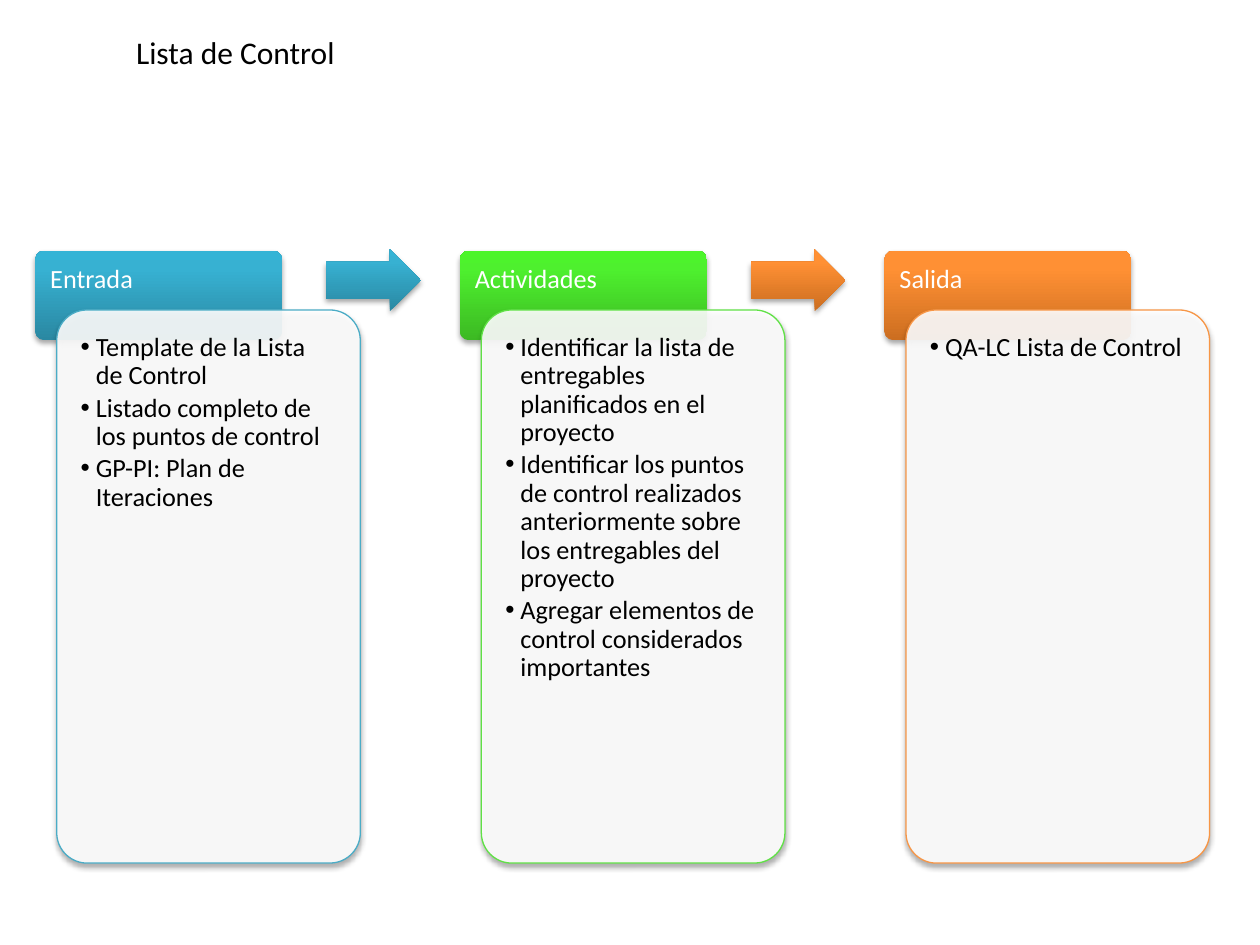
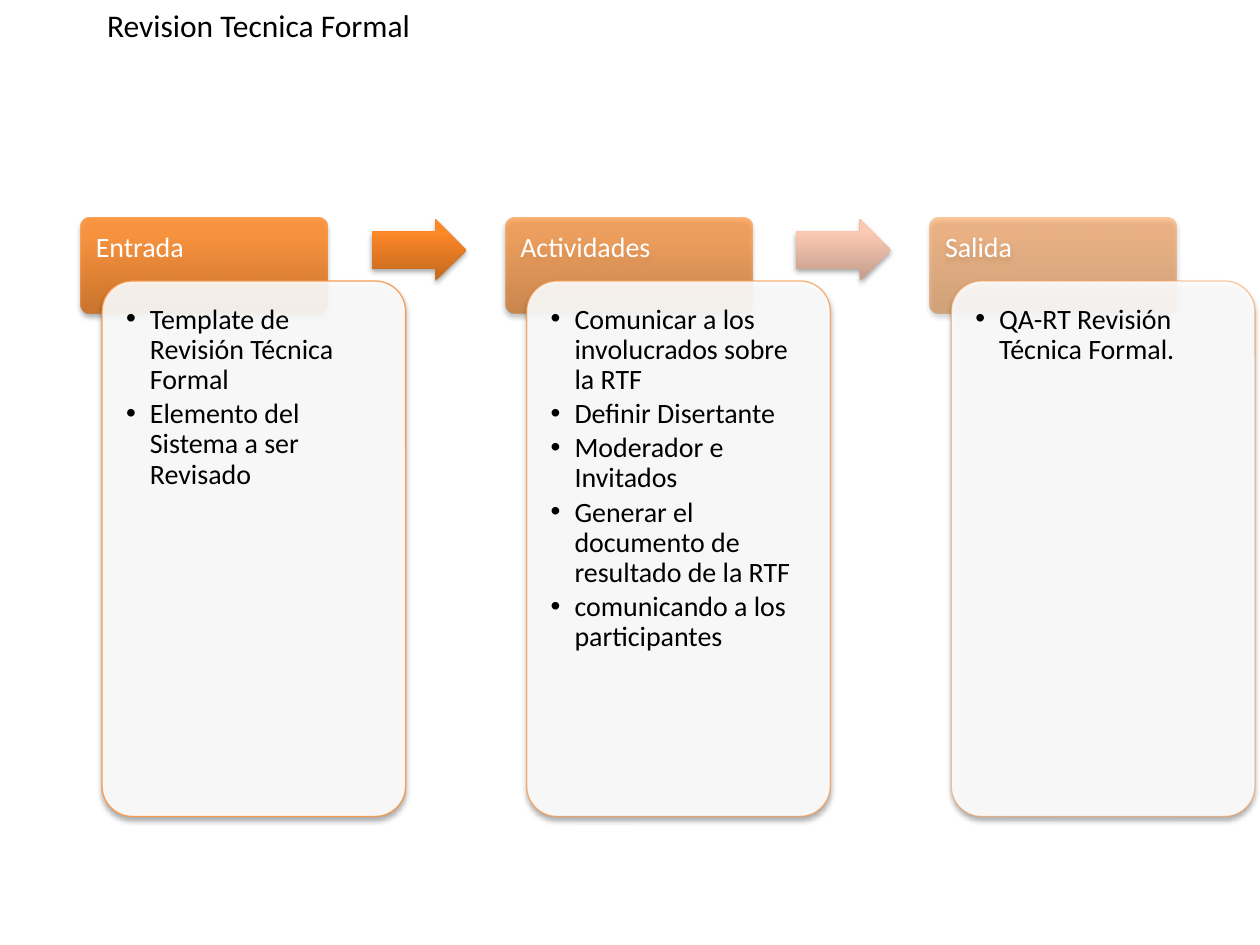
"""Builds two process slides, each with input, activity and output columns."""
import copy

import lxml.etree
import pptx
import pptx.dml.color
import pptx.enum.dml
import pptx.enum.shapes
import pptx.enum.text
import pptx.oxml.ns
import pptx.util

Inches = pptx.util.Inches
Pt = pptx.util.Pt
RGBColor = pptx.dml.color.RGBColor
SHAPES = pptx.enum.shapes.MSO_SHAPE
qn = pptx.oxml.ns.qn

FONT = "Calibri"
BLACK = RGBColor(0x00, 0x00, 0x00)
WHITE = RGBColor(0xFF, 0xFF, 0xFF)
BLUE = RGBColor(0x4B, 0xAC, 0xC6)
GREEN = RGBColor(0x60, 0xE1, 0x46)
ORANGE = RGBColor(0xF7, 0x96, 0x46)
BLUE_GRADIENT = [RGBColor(0x2A, 0x88, 0xA2), RGBColor(0x37, 0xB1, 0xD2), RGBColor(0x34, 0xB4, 0xD6)]
GREEN_GRADIENT = [RGBColor(0x3C, 0xB9, 0x23), RGBColor(0x4E, 0xF0, 0x2E), RGBColor(0x4C, 0xF5, 0x2A)]
ORANGE_GRADIENT = [RGBColor(0xCC, 0x6E, 0x20), RGBColor(0xFF, 0x90, 0x34), RGBColor(0xFF, 0x91, 0x36)]
DEEP_ORANGE_GRADIENT = [RGBColor(0xC3, 0x69, 0x1F), RGBColor(0xFD, 0x88, 0x28), RGBColor(0xFF, 0x89, 0x28)]
PEACH_GRADIENT = [RGBColor(0xC2, 0x9C, 0x8A), RGBColor(0xFC, 0xCA, 0xB3), RGBColor(0xFE, 0xCA, 0xB2)]
GRADIENT_POSITIONS = [0, 0.8, 1]

HEADINGS = ["Entrada", "Actividades", "Salida"]
COLUMN_PITCH = 3.37
HEADER_WIDTH = 1.96
PANEL_SHIFT = 0.17
PANEL_WIDTH = 2.41
PANEL_PADDING = 0.07
ARROW_SHIFT = 2.31

SLIDES = [
    {
        "title": "Lista de Control", "title_box": (0.98, 0.21, 2.2, 0.4),
        "left": 0.28, "header_top": 1.99, "header_height": 0.71,
        "panel_top": 2.46, "panel_height": 4.39, "arrow_top": 1.98,
        "size": 15, "indent": 0.12,
        "headers": [BLUE_GRADIENT, GREEN_GRADIENT, ORANGE_GRADIENT],
        "arrows": [BLUE_GRADIENT, ORANGE_GRADIENT],
        "outlines": [BLUE, GREEN, ORANGE],
        "opacities": [100, 100, 100],
        "lists": [
            ["Template de la Lista de Control",
             "Listado completo de los puntos de control",
             "GP-PI: Plan de Iteraciones"],
            ["Identificar la lista de entregables planificados en el proyecto",
             "Identificar los puntos de control realizados anteriormente sobre los entregables del proyecto",
             "Agregar elementos de control considerados importantes"],
            ["QA-LC Lista de Control"],
        ],
    },
    {
        "title": "Revision Tecnica Formal", "title_box": (0.75, 0, 4.8, 0.4),
        "left": 0.64, "header_top": 1.73, "header_height": 0.76,
        "panel_top": 2.23, "panel_height": 4.25, "arrow_top": 1.74,
        "size": 16, "indent": 0.19,
        "headers": [ORANGE_GRADIENT] * 3,
        "arrows": [DEEP_ORANGE_GRADIENT, PEACH_GRADIENT],
        "outlines": [ORANGE] * 3,
        "opacities": [90, 70, 50],
        "lists": [
            ["Template de Revisión Técnica Formal",
             "Elemento del Sistema a ser Revisado"],
            ["Comunicar a los involucrados sobre la RTF",
             "Definir Disertante",
             "Moderador e Invitados",
             "Generar el documento de resultado de la RTF",
             "comunicando a los participantes"],
            ["QA-RT Revisión Técnica Formal."],
        ],
    },
]


def write_text(shape, lines, size, color=BLACK, inset=0.12, spacing=0.9, after=0, indent=None):
    frame = shape.text_frame
    frame.word_wrap = True
    frame.auto_size = pptx.enum.text.MSO_AUTO_SIZE.NONE
    frame.vertical_anchor = pptx.enum.text.MSO_ANCHOR.TOP
    frame.margin_left = frame.margin_right = frame.margin_top = frame.margin_bottom = Inches(inset)
    frame.text = "\n".join(lines)
    for paragraph in frame.paragraphs:
        paragraph.alignment = pptx.enum.text.PP_ALIGN.LEFT
        paragraph.line_spacing = spacing
        paragraph.space_before = Pt(0)
        paragraph.space_after = Pt(after)
        font = paragraph.runs[0].font
        font.name, font.size, font.bold = FONT, Pt(size), False
        font.color.rgb = color
        if indent:
            properties = paragraph._p.get_or_add_pPr()
            properties.set("marL", str(Inches(indent)))
            properties.set("indent", str(-Inches(indent)))
            lxml.etree.SubElement(properties, qn("a:buFont"), typeface="Arial")
            lxml.etree.SubElement(properties, qn("a:buChar"), char="•")


def paint(shape, colors, opacity=100, outline=None, outline_opacity=100):
    if len(colors) == 1:
        shape.fill.solid()
        shape.fill.fore_color.rgb = colors[0]
    else:
        shape.fill.gradient()
        shape.fill.gradient_angle = 90
        stop_list = shape._element.spPr.find(".//" + qn("a:gsLst"))
        stop_list.append(copy.deepcopy(stop_list[0]))
        for stop, color, position in zip(shape.fill.gradient_stops, colors, GRADIENT_POSITIONS):
            stop.color.rgb = color
            stop.position = position
    translucent = [(color, opacity) for color in shape._element.spPr.iter(qn("a:srgbClr"))]
    if outline is None:
        shape.line.fill.background()
    else:
        shape.line.width = Pt(0.75)
        shape.line.color.rgb = outline
        line_color = shape._element.spPr.find(qn("a:ln")).find(".//" + qn("a:srgbClr"))
        translucent.append((line_color, outline_opacity))
    shape.shadow.inherit = False
    effects = shape._element.spPr.find(qn("a:effectLst"))
    shadow = lxml.etree.SubElement(effects, qn("a:outerShdw"), blurRad=str(Pt(3.1)),
                                   dist=str(Pt(1.8)), dir="5400000", rotWithShape="0")
    translucent.append((lxml.etree.SubElement(shadow, qn("a:srgbClr"), val="000000"), 35))
    for color, percent in translucent:
        if percent < 100:
            lxml.etree.SubElement(color, qn("a:alpha"), val=str(percent * 1000))


presentation = pptx.Presentation()
presentation.slide_width = Inches(10)
presentation.slide_height = Inches(7.5)
comparison_layout = presentation.slide_layouts[4]

for content in SLIDES:
    slide = presentation.slides.add_slide(comparison_layout)
    title, *bodies = list(slide.placeholders)[:5]
    title.left, title.top, title.width, title.height = map(Inches, content["title_box"])
    write_text(title, [content["title"]], 18, inset=0.1, spacing=1)
    title.text_frame.margin_top = title.text_frame.margin_bottom = Inches(0.05)
    spare_body = bodies.pop()
    spare_body._element.getparent().remove(spare_body._element)

    for column, (heading, body) in enumerate(zip(HEADINGS, bodies)):
        left = content["left"] + column * COLUMN_PITCH
        opacity = content["opacities"][column]

        header = slide.shapes.add_shape(
            SHAPES.ROUNDED_RECTANGLE, Inches(left), Inches(content["header_top"]),
            Inches(HEADER_WIDTH), Inches(content["header_height"]))
        header.adjustments[0] = 0.1
        paint(header, content["headers"][column], opacity)
        write_text(header, [heading], content["size"], color=WHITE, inset=0.1)

        panel = slide.shapes.add_shape(
            SHAPES.ROUNDED_RECTANGLE, Inches(left + PANEL_SHIFT), Inches(content["panel_top"]),
            Inches(PANEL_WIDTH), Inches(content["panel_height"]))
        panel.adjustments[0] = 0.1
        paint(panel, [WHITE], 90, content["outlines"][column], opacity)

        body.left = panel.left + Inches(PANEL_PADDING)
        body.top = panel.top + Inches(PANEL_PADDING)
        body.width = panel.width - Inches(2 * PANEL_PADDING)
        body.height = panel.height - Inches(2 * PANEL_PADDING)
        write_text(body, content["lists"][column], content["size"],
                   after=2.25, indent=content["indent"])
        slide.shapes._spTree.append(body._element)

        if column < len(content["arrows"]):
            arrow = slide.shapes.add_shape(
                SHAPES.RIGHT_ARROW, Inches(left + ARROW_SHIFT), Inches(content["arrow_top"]),
                Inches(0.75), Inches(0.49))
            arrow.adjustments[0] = 0.6
            arrow.adjustments[1] = 0.5
            paint(arrow, content["arrows"][column])

presentation.save("out.pptx")
